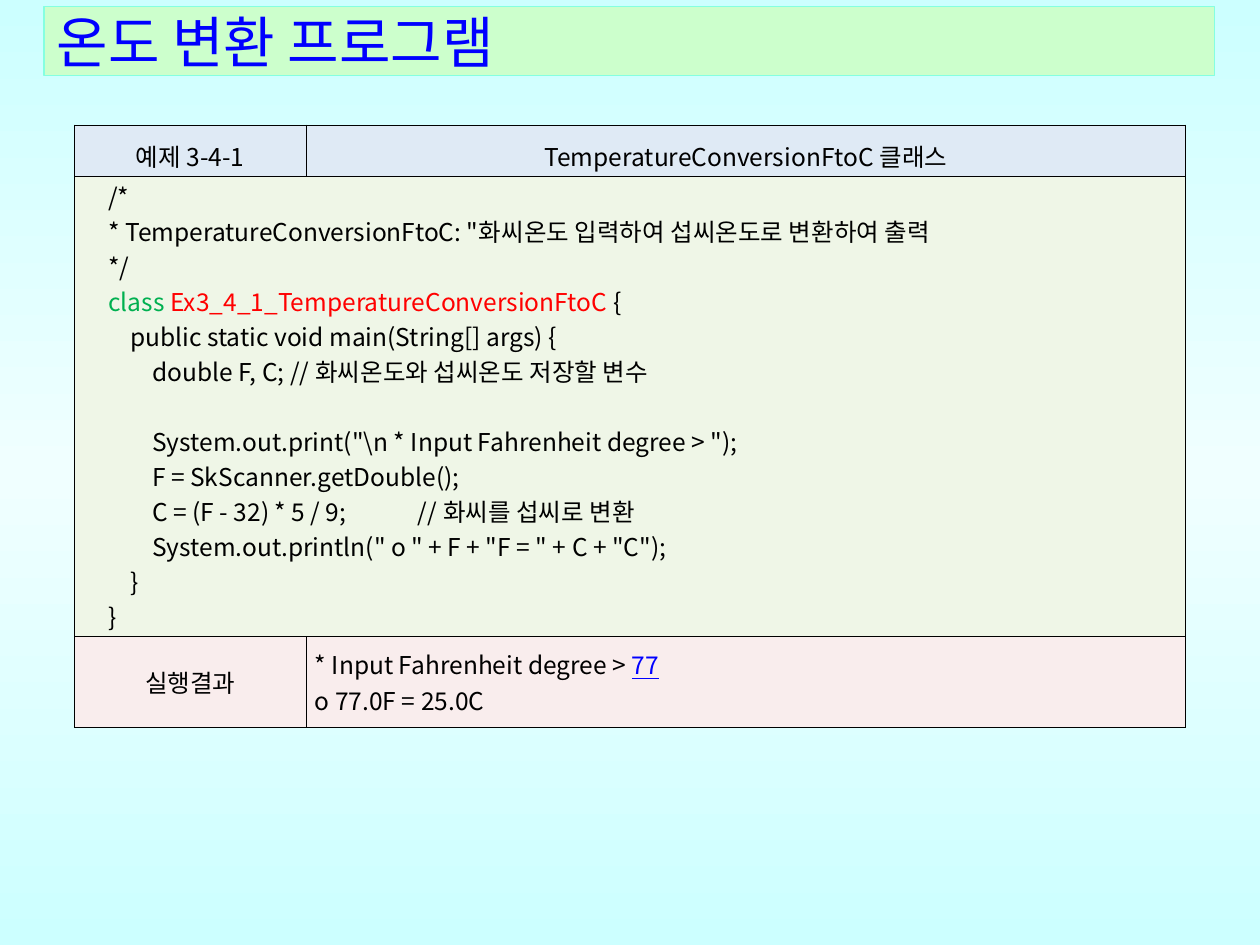
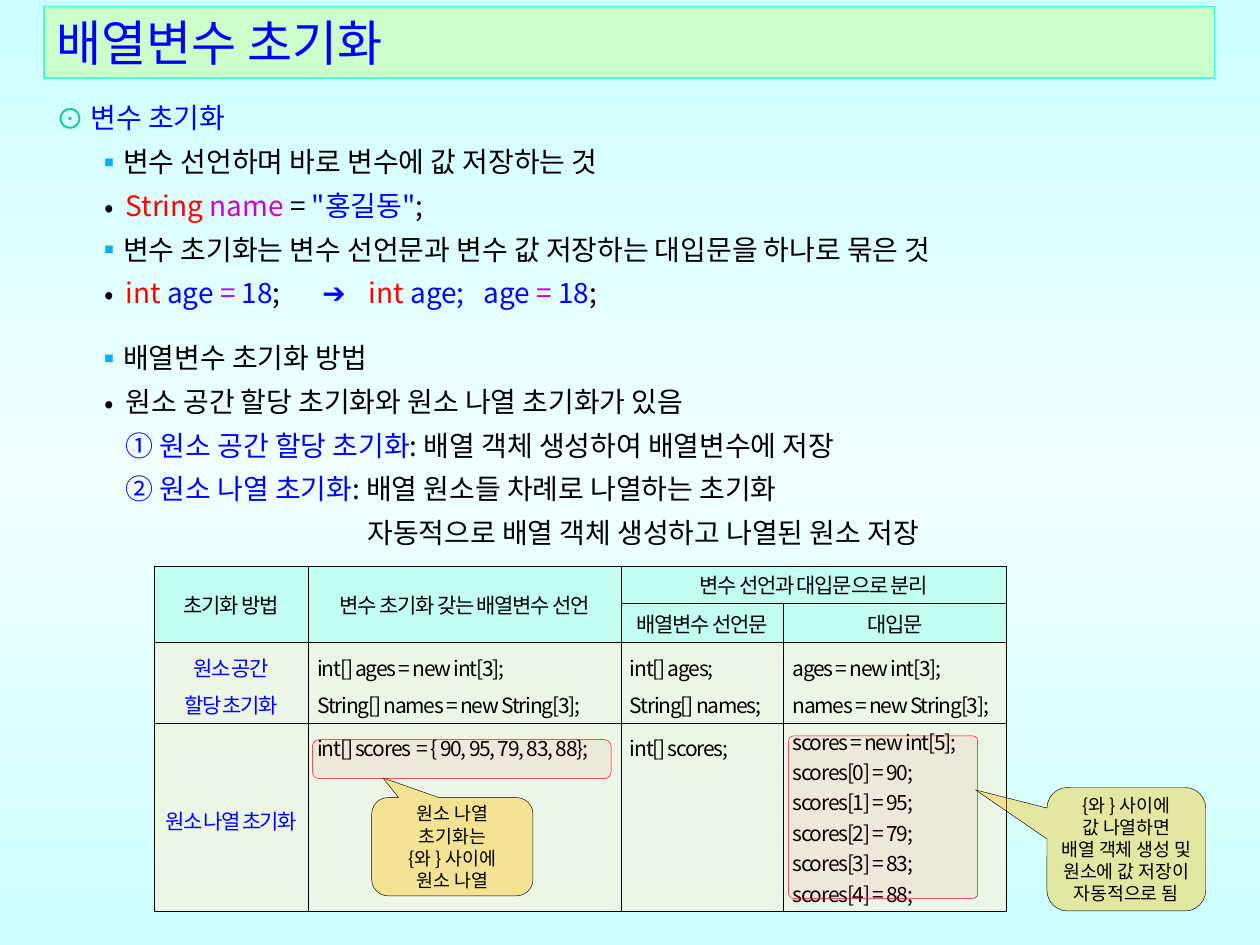
from dataclasses import dataclass

from lxml.etree import SubElement
from pptx import Presentation
from pptx.dml.color import RGBColor
from pptx.enum.shapes import MSO_SHAPE as Shape
from pptx.enum.text import MSO_ANCHOR as Anchor, PP_ALIGN as Align
from pptx.oxml import parse_xml
from pptx.oxml.ns import qn
from pptx.util import Inches, Pt


@dataclass(frozen=True)
class Theme:
    font: str = "Noto Sans CJK KR"
    black: str = "000000"
    blue: str = "0000FF"
    red: str = "FF0000"
    green: str = "00B050"
    purple: str = "CC00CC"
    teal: str = "00CC99"
    sky: str = "00B0F0"
    amber: str = "FFC000"
    band: str = "CCFFCC"
    backdrop: tuple = ((0, "CCFFFF"), (50, "F0FFFF"), (100, "CCFFFF"))
    example_rows: tuple = ("DFEAF5", "EFF6E7", "F9EDED")
    method_rows: tuple = ("C2FFF0", "C2FFF0", "EBF6E7", "EBF6E7")
    body_size: float = 16
    code_size: float = 14
    grid_size: float = 12
    note_size: float = 10.5


T = Theme()

# A line is a string, or a list of (text, colour) parts.
EXAMPLE_TITLE = dict(text="온도 변환 프로그램", size=32, height=0.55, line="85FFE0")
CODE = [
    "/*",
    '* TemperatureConversionFtoC: "화씨온도 입력하여 섭씨온도로 변환하여 출력',
    "*/",
    [("class ", T.green), ("Ex3_4_1_TemperatureConversionFtoC", T.red), (" {", T.black)],
    "    public static void main(String[] args) {",
    "        double F, C; // 화씨온도와 섭씨온도 저장할 변수",
    "",
    '        System.out.print("\\n * Input Fahrenheit degree > ");',
    "        F = SkScanner.getDouble();",
    "        C = (F - 32) * 5 / 9;             // 화씨를 섭씨로 변환",
    '        System.out.println(" o " + F + "F = " + C + "C");',
    "    }",
    "}",
]
RESULT = [
    [("* Input Fahrenheit degree > ", T.black), ("77", T.blue)],
    "o 77.0F = 25.0C",
]
# Cells: (row, column, lines, text options)
CENTRED = dict(align=Align.CENTER)
EXAMPLE_CELLS = [
    (0, 0, ["예제 3-4-1"], dict(CENTRED, spacing=1.3)),
    (0, 1, ["TemperatureConversionFtoC 클래스"], dict(CENTRED, spacing=1.3)),
    (1, 0, CODE, dict(spacing=Pt(20), indent=0.2)),
    (2, 0, ["실행결과"], CENTRED),
    (2, 1, RESULT, {}),
]

ARRAY_TITLE = dict(text="배열변수 초기화", size=28, height=0.57, line="47FFD1")
# Levels: bullet, its colour, text indent, bullet hang
LEVELS = {
    "head": ("⊙", T.teal, 0.27, 0.27),
    "point": ("▪", T.sky, 0.53, 0.22),
    "detail": ("•", T.black, 0.55, 0.17),
    "item": (None, None, 0.55, 0),
    "more": (None, None, 2.47, 0),
}
ASSIGN_TABS = (2.11, 2.48, 3.39)
OUTLINE = [
    ("head", [("변수 초기화", T.blue)]),
    ("point", "변수 선언하며 바로 변수에 값 저장하는 것"),
    ("detail", [("String ", T.red), ("name", T.purple), (" = ", T.black),
                ('"홍길동"', T.blue), (";", T.black)]),
    ("point", "변수 초기화는 변수 선언문과 변수 값 저장하는 대입문을 하나로 묶은 것"),
    ("detail", [("int ", T.red), ("age ", T.blue), ("= ", T.purple), ("18", T.blue),
                (";\t", T.black), ("➔\t", T.blue), ("int ", T.red),
                ("age;\tage ", T.blue), ("= ", T.purple), ("18", T.blue), (";", T.black)]),
    ("point", "배열변수 초기화 방법"),
    ("detail", "원소 공간 할당 초기화와 원소 나열 초기화가 있음"),
    ("item", [("① 원소 공간 할당 초기화", T.blue),
              (": 배열 객체 생성하여 배열변수에 저장", T.black)]),
    ("item", [("② 원소 나열 초기화", T.blue),
              (": 배열 원소들 차례로 나열하는 초기화", T.black)]),
    ("more", "자동적으로 배열 객체 생성하고 나열된 원소 저장"),
]
NEW_GROUP = 5

HEADING = dict(CENTRED, tracking=-0.7)
METHOD = dict(CENTRED, tracking=-1, spacing=1.2, color=T.blue)
STATEMENT = dict(tracking=-0.7, spacing=1.2)
TOP_STATEMENT = dict(STATEMENT, anchor=Anchor.TOP)
METHOD_CELLS = [
    (0, 0, ["초기화 방법"], HEADING),
    (0, 1, ["변수 초기화 갖는 배열변수 선언"], HEADING),
    (0, 2, ["변수 선언과 대입문으로 분리"], HEADING),
    (1, 2, ["배열변수 선언문"], HEADING),
    (1, 3, ["대입문"], HEADING),
    (2, 0, ["원소 공간", "할당 초기화"], METHOD),
    (2, 1, ["int[] ages = new int[3];", "String[] names = new String[3];"], STATEMENT),
    (2, 2, ["int[] ages;", "String[] names;"], STATEMENT),
    (2, 3, ["ages = new int[3];", "names = new String[3];"], STATEMENT),
    (3, 0, ["원소 나열 초기화"], METHOD),
    (3, 1, ["int[] scores  = { 90, 95, 79, 83, 88};"], TOP_STATEMENT),
    (3, 2, ["int[] scores;"], TOP_STATEMENT),
    (3, 3, ["scores = new int[5];"]
     + [f"scores[{i}] = {score};" for i, score in enumerate((90, 95, 79, 83, 88))],
     dict(tracking=-0.7)),
]
# Callouts: box, pointer tip from the centre as a share of the box, lines
CALLOUTS = [
    ((2.95, 6.33, 1.28, 0.78), (-0.43, -0.7),
     ["원소 나열", "초기화는", "{와 } 사이에", "원소 나열"]),
    ((8.31, 6.25, 1.26, 0.98), (-0.95, -0.48),
     ["{와 } 사이에", "값 나열하면", "배열 객체 생성 및", "원소에 값 저장이", "자동적으로 됨"]),
]
# Highlights: box, corner rounding
HIGHLIGHTS = [((2.48, 5.87, 2.37, 0.31), 0.17), ((6.26, 5.84, 1.5, 1.29), 0.03)]


def rgb(color):
    return RGBColor.from_string(color)


def style_run(run, size, color, tracking=0):
    font = run.font
    font.size, font.name = Pt(size), T.font
    font.color.rgb = rgb(color)
    props = run._r.get_or_add_rPr()
    SubElement(props, qn("a:ea")).set("typeface", T.font)
    if tracking:
        props.set("spc", str(round(tracking * 100)))


def write_line(paragraph, line, size, color=T.black, tracking=0):
    if isinstance(line, str):
        paragraph.text = line
        colors = [color] * len(paragraph.runs)
    else:
        for text, _ in line:
            paragraph.add_run().text = text
        colors = [part_color for _, part_color in line]
    for run, run_color in zip(paragraph.runs, colors):
        style_run(run, size, run_color, tracking)


def write_lines(frame, lines, size, align=Align.LEFT, spacing=None, indent=0, **style):
    for i, line in enumerate(lines):
        paragraph = frame.add_paragraph() if i else frame.paragraphs[0]
        paragraph.alignment = align
        paragraph.line_spacing = spacing
        if indent:
            paragraph._p.get_or_add_pPr().set("marL", str(Inches(indent)))
        write_line(paragraph, line, size, **style)


def add_box(slide, kind, box, fill, line, width, opacity=100):
    shape = slide.shapes.add_shape(kind, *map(Inches, box))
    shape.shadow.inherit = False
    shape.fill.solid()
    shape.fill.fore_color.rgb = rgb(fill)
    if opacity < 100:
        color = shape._element.spPr.find(qn("a:solidFill"))[0]
        SubElement(color, qn("a:alpha")).set("val", str(opacity * 1000))
    shape.line.color.rgb = rgb(line)
    shape.line.width = Pt(width)
    return shape


def add_title(slide, text, size, height, line):
    band = add_box(slide, Shape.RECTANGLE, (0.35, 0.05, 9.29, height), T.band, line, 0.75)
    band.text_frame.vertical_anchor = Anchor.MIDDLE
    write_lines(band.text_frame, [text], size, color=T.blue)


def add_borders(cell):
    props = cell._tc.get_or_add_tcPr()
    for side in ("lnL", "lnR", "lnT", "lnB"):
        border = SubElement(props, qn(f"a:{side}"), w=str(Pt(0.28)))
        fill = SubElement(border, qn("a:solidFill"))
        SubElement(fill, qn("a:srgbClr")).set("val", T.black)


def add_grid(slide, corner, widths, heights, row_fills, merges, cells, size):
    frame = slide.shapes.add_table(len(heights), len(widths), *map(
        Inches, (*corner, sum(widths), sum(heights))))
    table = frame.table
    table.first_row = table.horz_banding = False
    for column, width in zip(table.columns, widths):
        column.width = Inches(width)
    for row, height, fill in zip(table.rows, heights, row_fills):
        row.height = Inches(height)
        for cell in row.cells:
            add_borders(cell)
            cell.fill.solid()
            cell.fill.fore_color.rgb = rgb(fill)
            cell.margin_left = cell.margin_right = Inches(0.07)
            cell.margin_top = cell.margin_bottom = Inches(0.02)
    for first, last in merges:
        table.cell(*first).merge(table.cell(*last))
    for row, column, lines, options in cells:
        cell = table.cell(row, column)
        style = dict(options)
        cell.vertical_anchor = style.pop("anchor", Anchor.MIDDLE)
        write_lines(cell.text_frame, lines, size, **style)
    return table


def set_level(paragraph, level):
    bullet, color, indent, hang = LEVELS[level]
    props = paragraph._p.get_or_add_pPr()
    props.set("marL", str(Inches(indent)))
    props.set("indent", str(-Inches(hang)))
    if bullet:
        tint = SubElement(props, qn("a:buClr"))
        SubElement(tint, qn("a:srgbClr")).set("val", color)
        SubElement(props, qn("a:buFont")).set("typeface", T.font)
        SubElement(props, qn("a:buChar")).set("char", bullet)


def add_outline(slide):
    frame = slide.shapes.add_textbox(*map(Inches, (0.35, 0.67, 9.53, 3.78))).text_frame
    frame.word_wrap = True
    for i, (level, line) in enumerate(OUTLINE):
        paragraph = frame.add_paragraph() if i else frame.paragraphs[0]
        paragraph.line_spacing = Pt(25)
        if i == NEW_GROUP:
            paragraph.space_before = Pt(12)
        set_level(paragraph, level)
        if any("\t" in text for text, *_ in line):
            stops = SubElement(paragraph._p.pPr, qn("a:tabLst"))
            for stop in ASSIGN_TABS:
                SubElement(stops, qn("a:tab"), pos=str(Inches(stop)), algn="l")
        write_line(paragraph, line, T.body_size)


def add_callout(slide, box, tip, lines):
    callout = add_box(slide, Shape.ROUNDED_RECTANGULAR_CALLOUT, box, T.amber, T.black, 0.25, 37)
    callout.adjustments[0], callout.adjustments[1] = tip
    frame = callout.text_frame
    frame.margin_left = frame.margin_right = frame.margin_top = frame.margin_bottom = 0
    write_lines(frame, lines, T.note_size, Align.CENTER)


def set_backdrop(master):
    c_sld = master.element.cSld
    for old in c_sld.findall(qn("p:bg")):
        c_sld.remove(old)
    stops = "".join(f'<a:gs pos="{at * 1000}"><a:srgbClr val="{color}"/></a:gs>'
                    for at, color in T.backdrop)
    c_sld.insert(0, parse_xml(
        '<p:bg xmlns:p="http://schemas.openxmlformats.org/presentationml/2006/main" '
        'xmlns:a="http://schemas.openxmlformats.org/drawingml/2006/main"><p:bgPr>'
        f'<a:gradFill><a:gsLst>{stops}</a:gsLst><a:lin ang="5400000" scaled="1"/></a:gradFill>'
        '<a:effectLst/></p:bgPr></p:bg>'))


def build_example(slide):
    add_title(slide, **EXAMPLE_TITLE)
    table = add_grid(slide, (0.59, 0.99), (1.84, 6.98), (0.38, 3.65, 0.72), T.example_rows,
                     [((1, 0), (1, 1))], EXAMPLE_CELLS, T.code_size)
    table.cell(2, 1).text_frame.paragraphs[0].runs[1].font.underline = True


def build_arrays(slide):
    add_title(slide, **ARRAY_TITLE)
    add_outline(slide)
    add_grid(slide, (1.22, 4.49), (1.23, 2.48, 1.29, 1.77), (0.3, 0.31, 0.64, 1.49),
             T.method_rows, [((0, 0), (1, 0)), ((0, 1), (1, 1)), ((0, 2), (0, 3))],
             METHOD_CELLS, T.grid_size)
    for callout in CALLOUTS:
        add_callout(slide, *callout)
    for box, rounding in HIGHLIGHTS:
        mark = add_box(slide, Shape.ROUNDED_RECTANGLE, box, T.red, T.red, 0.25, 5)
        mark.adjustments[0] = rounding


def main():
    prs = Presentation()
    prs.slide_width, prs.slide_height = Inches(10), Inches(7.5)
    set_backdrop(prs.slide_master)
    for build in (build_example, build_arrays):
        build(prs.slides.add_slide(prs.slide_layouts[6]))
    prs.save("out.pptx")


if __name__ == "__main__":
    main()
